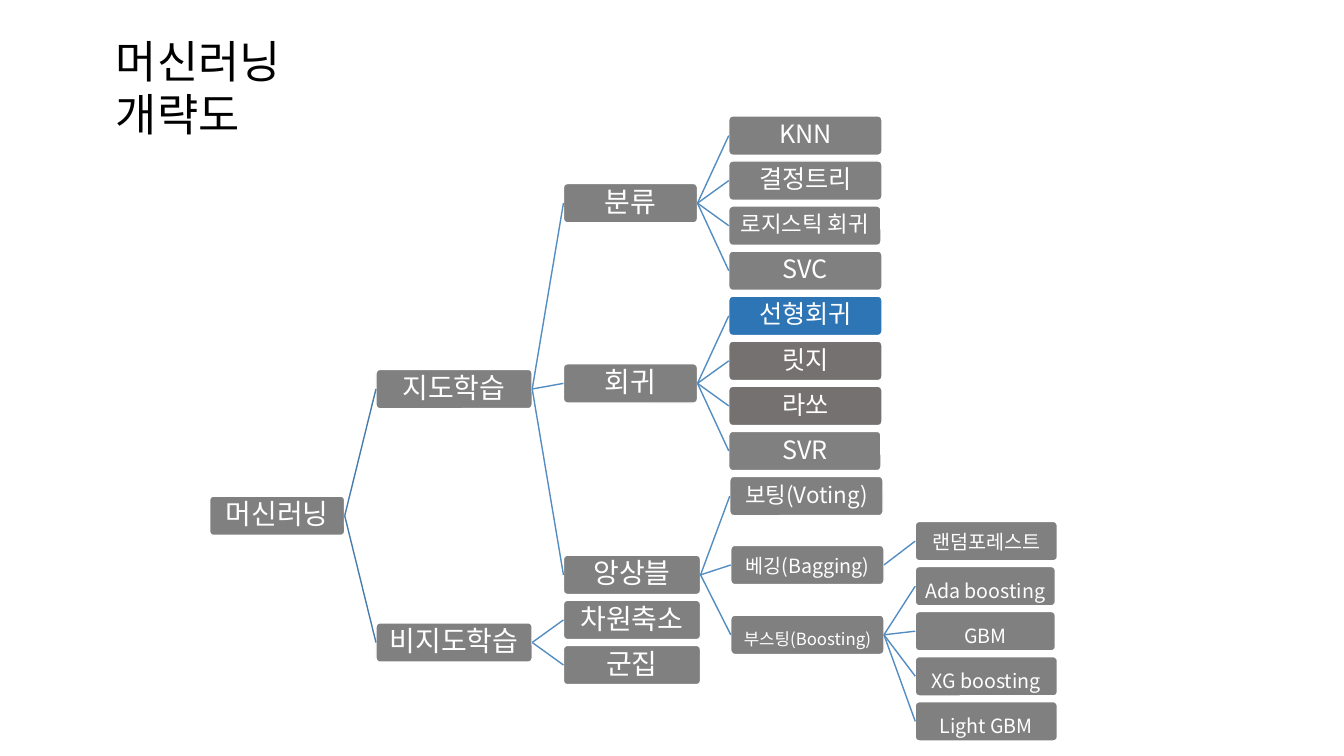
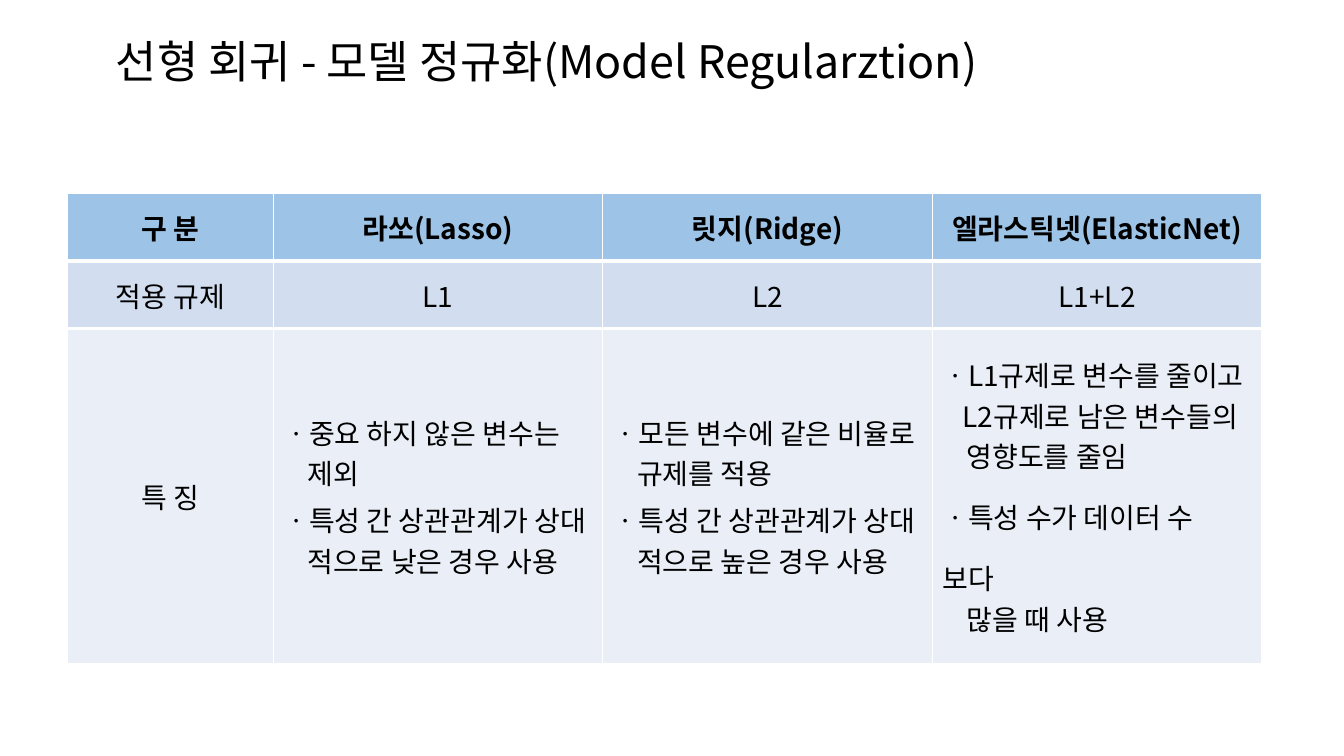
from dataclasses import dataclass

from lxml.etree import SubElement
from pptx import Presentation
from pptx.dml.color import RGBColor
from pptx.enum.shapes import MSO_CONNECTOR as CONN, MSO_SHAPE as SHAPE
from pptx.enum.text import MSO_ANCHOR as ANCHOR, MSO_AUTO_SIZE as AUTO, PP_ALIGN as ALIGN
from pptx.oxml.ns import qn
from pptx.util import Pt

PX = 9144  # EMU per px, 100 px to the inch


@dataclass(frozen=True)
class Theme:
    font: str = "Noto Sans CJK KR"
    ink: str = "000000"
    white: str = "FFFFFF"
    node: str = "808080"
    node_dark: str = "767171"
    node_focus: str = "2E75B6"
    root_link: str = "497CAB"
    link: str = "538DC1"
    rows: tuple = ("9DC3E6", "D2DEEF", "EAEFF7")
    title_size: int = 32
    table_size: int = 20
    level_sizes: tuple = (20, 20, 20, 18, 14)


T = Theme()


@dataclass
class Node:
    """A tree box; without a row it sits midway between its outer children."""
    text: str
    kids: tuple = ()
    row: float = None
    size: int = None
    width: int = None
    fill: str = T.node
    dx: int = 0
    drop: int = 1
    spacing: object = 0.9


LEVEL_X = (208, 373, 559, 723, 908)
LEVEL_W = (134, 155, 133, 152, 141)
ROW_STEP, NODE_H = 44.7, 39

TREE = Node("머신러닝", (
    Node("지도학습", (
        Node("분류", (
            Node("KNN", row=0),
            Node("결정트리", row=1),
            Node("로지스틱 회귀", row=2, size=16, width=151),
            Node("SVC", row=3))),
        Node("회귀", (
            Node("선형회귀", row=4, fill=T.node_focus),
            Node("릿지", row=5, fill=T.node_dark),
            Node("라쏘", row=6, fill=T.node_dark),
            Node("SVR", row=7, width=151))),
        Node("앙상블", (
            Node("보팅(Voting)", row=8, size=16, dx=1),
            Node("베깅(Bagging)", (
                Node("랜덤포레스트", row=9, drop=12, spacing=Pt(10)),
            ), row=9.53, size=14, dx=2, drop=12, spacing=Pt(10)),
            Node("부스팅(Boosting)", (
                Node("Ada boosting", row=10, width=139, drop=12),
                Node("GBM", row=11, width=139, drop=12),
                Node("XG boosting", row=12, drop=12),
                Node("Light GBM", row=13, drop=12),
            ), row=11.08, size=12, dx=2, drop=12)), row=9.75, width=136))),
    Node("비지도학습", (
        Node("차원축소", row=10.75, width=136),
        Node("군집", row=11.75, width=136)))))

TABLE = (
    (("구 분",), ("라쏘(Lasso)",), ("릿지(Ridge)",), ("엘라스틱넷(ElasticNet)",)),
    (("적용 규제",), ("L1",), ("L2",), ("L1+L2",)),
    (("특 징",),
     ("ㆍ중요 하지 않은 변수는", "제외", "ㆍ특성 간 상관관계가 상대", "적으로 낮은 경우 사용"),
     ("ㆍ모든 변수에 같은 비율로", "규제를 적용", "ㆍ특성 간 상관관계가 상대", "적으로 높은 경우 사용"),
     ("ㆍL1규제로 변수를 줄이고", "L2규제로 남은 변수들의", "영향도를 줄임",
      "ㆍ특성 수가 데이터 수\v보다", "많을 때 사용")),
)


def px(*lengths):
    return [round(n * PX) for n in lengths]


def rgb(color):
    return RGBColor.from_string(color)


def write(p, text, size, color=T.ink, bold=False, align=ALIGN.LEFT, spacing=None):
    """Add text to a paragraph; a vertical tab in it is a line break."""
    p.alignment = align
    if spacing is not None:
        p.line_spacing = spacing
    for i, line in enumerate(text.split("\v")):
        if i:
            p.add_line_break()
        r = p.add_run()
        r.text = line
        r.font.size, r.font.bold, r.font.name = Pt(size), bold, T.font
        r.font.color.rgb = rgb(color)
        SubElement(r._r.get_or_add_rPr(), qn("a:ea"), typeface=T.font)


def set_margins(tf, left, top, right, bottom):
    tf.margin_left, tf.margin_top, tf.margin_right, tf.margin_bottom = px(
        left, top, right, bottom)


def add_titled_slide(prs, title, width):
    s = prs.slides.add_slide(prs.slide_layouts[5])
    sp = s.shapes.title
    sp.left, sp.top, sp.width, sp.height = px(105, 28, width, 118)
    tf = sp.text_frame
    tf.word_wrap, tf.auto_size, tf.vertical_anchor = True, AUTO.NONE, ANCHOR.TOP
    set_margins(tf, 10, 5, 10, 5)
    write(tf.paragraphs[0], title, T.title_size, spacing=1.0)
    return s


def add_node(s, node, level, x, y):
    width = node.width or LEVEL_W[level]
    sp = s.shapes.add_shape(SHAPE.ROUNDED_RECTANGLE, *px(x, y, width, NODE_H))
    sp.adjustments[0] = 0.1
    sp.shadow.inherit = False
    sp.fill.solid()
    sp.fill.fore_color.rgb = rgb(node.fill)
    sp.line.color.rgb, sp.line.width = rgb(T.white), Pt(1)
    tf = sp.text_frame
    tf.word_wrap, tf.vertical_anchor = True, ANCHOR.MIDDLE
    set_margins(tf, 1, node.drop, 1, 1)
    write(tf.paragraphs[0], node.text, node.size or T.level_sizes[level],
          T.white, align=ALIGN.CENTER, spacing=node.spacing)
    return sp


def add_link(s, parent, child, color):
    cn = s.shapes.add_connector(CONN.STRAIGHT, 0, 0, 0, 0)
    cn.begin_connect(parent, 3)
    cn.end_connect(child, 1)
    cn.line.color.rgb, cn.line.width = rgb(color), Pt(1)
    SubElement(cn._element.spPr, qn("a:effectLst"))


def node_row(node):
    if node.row is not None:
        return node.row
    return (node_row(node.kids[0]) + node_row(node.kids[-1])) / 2


def add_tree(s, node, left, top, level=0):
    """Draw a node and its branches; left and top are those of the whole tree."""
    x = left + LEVEL_X[level] - LEVEL_X[0] + node.dx
    sp = add_node(s, node, level, x, top + node_row(node) * ROW_STEP)
    for kid in node.kids:
        child = add_tree(s, kid, left, top, level + 1)
        add_link(s, sp, child, T.link if level else T.root_link)
    return sp


def set_border(cell, side, width):
    """Draw a white edge; side is a tag such as a:lnB."""
    tcPr = cell._tc.get_or_add_tcPr()
    ln = SubElement(tcPr, qn(side), w=str(Pt(width)))
    fill = SubElement(ln, qn("a:solidFill"))
    SubElement(fill, qn("a:srgbClr"), val=T.white)
    tcPr.insert(0, ln)


def fill_cell(cell, lines, fill, bold):
    """Lines after a dotted one are indented under it; lone lines are centred."""
    cell.fill.solid()
    cell.fill.fore_color.rgb = rgb(fill)
    cell.vertical_anchor = ANCHOR.MIDDLE
    tf = cell.text_frame
    align = ALIGN.CENTER if len(lines) == 1 else ALIGN.LEFT
    for i, line in enumerate(lines):
        p = tf.add_paragraph() if i else tf.paragraphs[0]
        spacing = None
        if i and line.startswith("ㆍ"):
            if len(lines) > 4:
                spacing = 1.5
            else:
                p.space_before = Pt(4.5)
        elif i:
            indent = 20 if line[0].isascii() else 24
            p._p.get_or_add_pPr().set("marL", str(indent * PX))
        write(p, line, T.table_size, bold=bold, align=align, spacing=spacing)


def add_comparison(s, left, top, col_widths, row_heights):
    frame = s.shapes.add_table(len(row_heights), len(col_widths), *px(
        left, top, sum(col_widths), sum(row_heights)))
    table = frame.table
    table.horz_banding = False
    for col, width in zip(table.columns, px(*col_widths)):
        col.width = width
    for row, height in zip(table.rows, px(*row_heights)):
        row.height = height
    for i, cells in enumerate(TABLE):
        for j, lines in enumerate(cells):
            cell = table.cell(i, j)
            fill_cell(cell, lines, T.rows[i], bold=i == 0)
            if i < 2:
                set_border(cell, ("a:lnB", "a:lnT")[i], 3)


def main():
    prs = Presentation()
    prs.slide_width, prs.slide_height = px(4000 / 3, 750)
    s = add_titled_slide(prs, "머신러닝 개략도", 290)
    add_tree(s, TREE, left=LEVEL_X[0], top=115)
    s = add_titled_slide(prs, "선형 회귀 - 모델 정규화(Model Regularztion)", 880)
    add_comparison(s, 67, 192, (204, 327, 327, 327), (67, 67, 214))
    prs.save("out.pptx")


if __name__ == "__main__":
    main()
